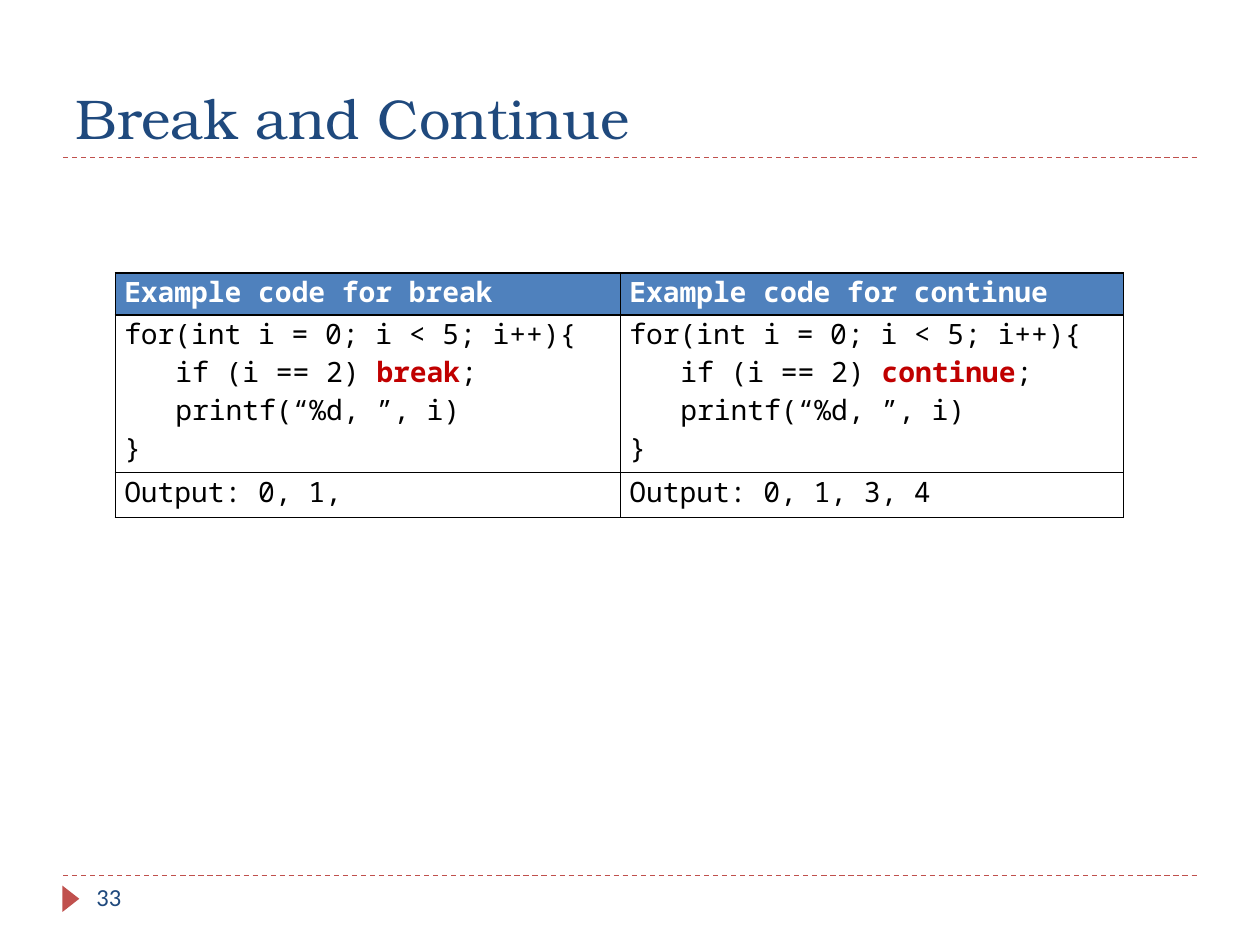
"""Build the slide comparing break and continue in a loop."""
from lxml import etree
from pptx import Presentation
from pptx import util as u
from pptx.dml.color import RGBColor
from pptx.enum import dml, shapes, text
from pptx.oxml.ns import qn

COLORS = {"navy": "1F497D", "red": "C0504D", "blue": "4F81BD",
          "keyword": "C00000", "black": "000000", "white": "FFFFFF"}
FONTS = {"title": "TeX Gyre Bonum", "body": "Calibri", "code": "Noto Sans Mono"}
COLUMNS, ROWS = 120, 90


class Deck:
    """Holds the style and the current slide, placed on a 120 by 90 grid."""

    def __init__(self):
        self.prs = Presentation()
        self.prs.slide_width, self.prs.slide_height = u.Inches(10), u.Inches(7.5)
        self.slide = self.prs.slides.add_slide(self.prs.slide_layouts[5])

    def x(self, columns):
        """Length of a number of grid columns."""
        return u.Emu(round(self.prs.slide_width * columns / COLUMNS))

    def y(self, rows):
        """Length of a number of grid rows."""
        return u.Emu(round(self.prs.slide_height * rows / ROWS))

    def box(self, left, top, width, height):
        """Grid rectangle as slide lengths."""
        return self.x(left), self.y(top), self.x(width), self.y(height)

    def style(self, font, face, size, color, bold=False):
        """Format a font."""
        font.name, font.size, font.bold = FONTS[face], u.Pt(size), bold
        font.color.rgb = RGBColor.from_string(COLORS[color])

    def title(self, words, area):
        """Fill and place the title placeholder."""
        heading = self.slide.shapes.title
        heading.left, heading.top, heading.width, heading.height = self.box(*area)
        frame = heading.text_frame
        frame.text, frame.word_wrap = words, True
        frame.vertical_anchor = text.MSO_ANCHOR.BOTTOM
        frame.paragraphs[0].alignment = text.PP_ALIGN.LEFT
        self.style(frame.paragraphs[0].font, "title", 32, "navy")

    def rule(self, row, left=6, right=114):
        """Draw a dashed horizontal rule."""
        rule = self.slide.shapes.add_connector(
            shapes.MSO_CONNECTOR.STRAIGHT, self.x(left), self.y(row),
            self.x(right), self.y(row))
        rule.line.color.rgb = RGBColor.from_string(COLORS["red"])
        rule.line.width = u.Pt(0.75)
        rule.line.dash_style = dml.MSO_LINE.DASH
        etree.SubElement(rule._element.spPr, qn("a:effectLst"))

    def marker(self, area):
        """Draw a triangle pointing right."""
        marker = self.slide.shapes.add_shape(
            shapes.MSO_SHAPE.ISOSCELES_TRIANGLE, *self.box(*area))
        marker.rotation = 90
        marker.shadow.inherit = False
        marker.fill.solid()
        marker.fill.fore_color.rgb = RGBColor.from_string(COLORS["red"])
        marker.line.fill.background()

    def label(self, words, area):
        """Add a small text label."""
        frame = self.slide.shapes.add_textbox(*self.box(*area)).text_frame
        frame.text, frame.word_wrap = words, True
        self.style(frame.paragraphs[0].font, "body", 14, "navy")

    def border(self, cell):
        """Outline all four sides of a cell."""
        for index, side in enumerate(("lnL", "lnR", "lnT", "lnB")):
            edge = etree.Element(qn(f"a:{side}"), w=str(u.Pt(1)))
            fill = etree.SubElement(edge, qn("a:solidFill"))
            etree.SubElement(fill, qn("a:srgbClr"), val=COLORS["black"])
            cell._tc.get_or_add_tcPr().insert(index, edge)

    def cell(self, cell, lines, keyword, header):
        """Write code lines into a cell, with its keyword highlighted."""
        cell.margin_left = cell.margin_right = u.Inches(0.07)
        cell.margin_top = cell.margin_bottom = 0
        if header:
            cell.fill.solid()
            cell.fill.fore_color.rgb = RGBColor.from_string(COLORS["blue"])
        else:
            cell.fill.background()
        self.border(cell)
        cell.text = "\n".join(lines)
        for line in cell.text_frame.paragraphs:
            line.alignment = text.PP_ALIGN.JUSTIFY
            if line.text.startswith(" "):
                line._p.get_or_add_pPr().set("indent", str(u.Inches(0.14)))
            before, found, after = line.text.partition(f"{keyword};")
            if found and not header:
                line.runs[0].text = before
                for part in (keyword, ";" + after):
                    line.add_run().text = part
                for run in line.runs:
                    marked = run.text == keyword
                    self.style(run.font, "code", 16,
                               "keyword" if marked else "black", marked)
            else:
                self.style(line.font, "code", 16,
                           "white" if header else "black", header)

    def table(self, examples, area, widths, heights):
        """Add a table with one column for each keyword."""
        grid = self.slide.shapes.add_table(
            len(heights), len(widths), *self.box(*area)).table
        for column, width in zip(grid.columns, widths):
            column.width = self.x(width)
        for row, height in zip(grid.rows, heights):
            row.height = self.y(height)
        for column, (keyword, output) in enumerate(examples.items()):
            code = ["for(int i = 0; i < 5; i++){", f"  if (i == 2) {keyword};",
                    "  printf(“%d, ”, i)", "}"]
            contents = [f"Example code for {keyword}"], code, [f"Output: {output}"]
            for row, lines in enumerate(contents):
                self.cell(grid.cell(row, column), lines, keyword, row == 0)


def main():
    """Build and save the slide."""
    deck = Deck()
    deck.rule(83.4)
    deck.rule(15)
    deck.marker((5.5, 84.8, 2.5, 1.6))
    deck.title("Break and Continue", (6, 2, 108, 13))
    deck.label("33", (8, 83.4, 26, 4.8))
    deck.table({"break": "0, 1, ", "continue": "0, 1, 3, 4"},
               (11, 26, 96, 23.3), (48.1, 47.9), (4, 15, 4.3))
    deck.prs.save("out.pptx")


if __name__ == "__main__":
    main()
